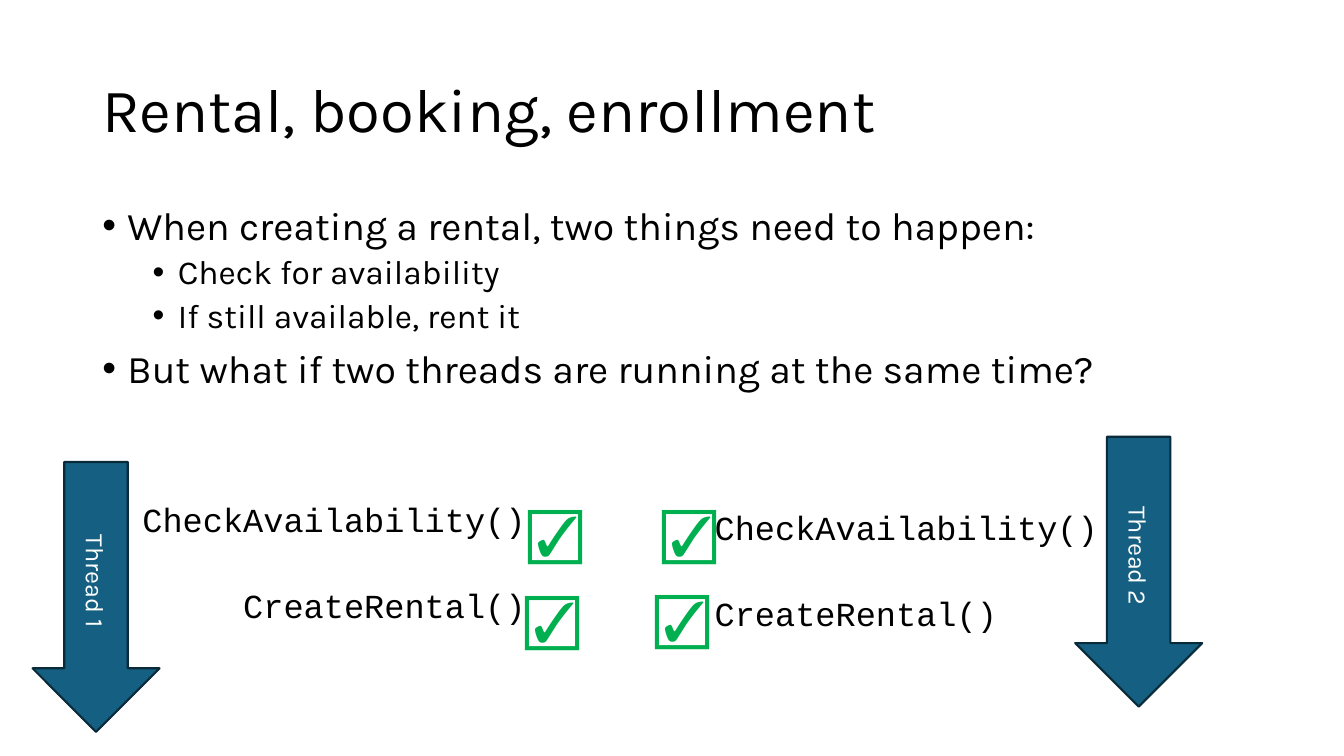
"""Build the slide about two threads renting the same thing."""
from dataclasses import dataclass
from typing import Any

from lxml import etree
from pptx import Presentation
from pptx.dml.color import RGBColor
from pptx.enum.shapes import MSO_SHAPE
from pptx.enum.text import MSO_ANCHOR, PP_ALIGN
from pptx.oxml.ns import qn
from pptx.util import Emu, Pt

PX = 9525
BLACK = RGBColor(0x00, 0x00, 0x00)
WHITE = RGBColor(0xFF, 0xFF, 0xFF)
BLUE = RGBColor(0x15, 0x60, 0x82)
NAVY = RGBColor(0x09, 0x2A, 0x39)
GREEN = RGBColor(0x00, 0xB0, 0x50)
LEFT, CENTER, RIGHT = PP_ALIGN.LEFT, PP_ALIGN.CENTER, PP_ALIGN.RIGHT
TOP, MIDDLE = MSO_ANCHOR.TOP, MSO_ANCHOR.MIDDLE
DOWN_ARROW = MSO_SHAPE.DOWN_ARROW
SANS, MONO = "Karla", "Courier New"


@dataclass(frozen=True)
class TextStyle:
    """Look of a paragraph."""
    size: int
    color: RGBColor = BLACK
    font: str = SANS
    align: PP_ALIGN = LEFT
    line_spacing: float = 1.0


@dataclass(frozen=True)
class Bullet:
    """A bulleted line with its level and the space above it in points."""
    text: str
    level: int
    space_before: int


@dataclass(frozen=True)
class Thread:
    """A thread arrow and the table of calls beside it."""
    name: str
    arrow_left: int
    arrow_top: int
    table_left: int
    table_top: int
    align: PP_ALIGN


TITLE_STYLE = TextStyle(44, line_spacing=0.9)
BULLET_STYLES = (TextStyle(28, line_spacing=0.9), TextStyle(24, line_spacing=0.9))
CHECK_STYLE = TextStyle(40, GREEN)
ARROW_STYLE = TextStyle(18, WHITE, align=CENTER)

BULLETS = (
    Bullet("When creating a rental, two things need to happen:", 0, 0),
    Bullet("Check for availability", 1, 5),
    Bullet("If still available, rent it", 1, 5),
    Bullet("But what if two threads are running at the same time?", 0, 10),
)
CALLS = ("CheckAvailability()", "CreateRental()")
ROW_HEIGHTS = (82, 52)
THREADS = (
    Thread("Thread 1", 31, 440, 95, 476, RIGHT),
    Thread("Thread 2", 1024, 416, 671, 483, LEFT),
)
CHECKS = ((493, 469), (621, 469), (490, 551), (614, 550))


def px(*lengths: int) -> list[Emu]:
    """Turn lengths in px into EMU."""
    return [Emu(length * PX) for length in lengths]


def set_format(target: Any, values: dict[str, Any]) -> None:
    """Set each named value on the target."""
    for name, value in values.items():
        setattr(target, name, value)


def write(paragraph: Any, text: str, style: TextStyle) -> None:
    """Put styled text in a paragraph."""
    set_format(paragraph, {"alignment": style.align, "line_spacing": style.line_spacing})
    run = paragraph.add_run()
    run.text = text
    set_format(run.font, {"name": style.font, "size": Pt(style.size)})
    run.font.color.rgb = style.color


def add_text_frame(slide: Any, box: tuple[int, int, int, int], anchor: MSO_ANCHOR) -> Any:
    """Add a wrapping text box and return its text frame."""
    frame = slide.shapes.add_textbox(*px(*box)).text_frame
    set_format(frame, {"word_wrap": True, "vertical_anchor": anchor})
    return frame


def add_bullets(slide: Any) -> None:
    """Add the two-level list."""
    frame = add_text_frame(slide, (88, 192, 1104, 457), TOP)
    for index, bullet in enumerate(BULLETS):
        paragraph = frame.add_paragraph() if index else frame.paragraphs[0]
        properties = paragraph._p.get_or_add_pPr()
        indent = 24 + 48 * bullet.level
        properties.set("marL", str(indent * PX))
        properties.set("indent", str(-24 * PX))
        etree.SubElement(properties, qn("a:buFont")).set("typeface", "Arial")
        etree.SubElement(properties, qn("a:buChar")).set("char", "•")
        set_format(paragraph, {"level": bullet.level, "space_before": Pt(bullet.space_before)})
        write(paragraph, bullet.text, BULLET_STYLES[bullet.level])


def add_calls(slide: Any, thread: Thread) -> None:
    """Add the table of calls that a thread makes."""
    box = px(thread.table_left, thread.table_top, 415, sum(ROW_HEIGHTS))
    table = slide.shapes.add_table(len(CALLS), 1, *box).table
    set_format(table, {"first_row": False, "horz_banding": False})
    style = TextStyle(24, font=MONO, align=thread.align)
    for row, height, call in zip(table.rows, px(*ROW_HEIGHTS), CALLS):
        row.height = height
        cell = row.cells[0]
        cell.fill.background()
        write(cell.text_frame.paragraphs[0], call, style)


def add_arrow(slide: Any, thread: Thread) -> None:
    """Add a thread's down arrow with its vertical name."""
    box = px(thread.arrow_left, thread.arrow_top, 121, 257)
    shape = slide.shapes.add_shape(DOWN_ARROW, *box)
    shape.shadow.inherit = False
    shape.fill.solid()
    shape.fill.fore_color.rgb = BLUE
    shape.line.color.rgb = NAVY
    shape.line.width = Pt(1.5)
    frame = shape.text_frame
    frame.vertical_anchor = MIDDLE
    frame._txBody.bodyPr.set("vert", "vert")
    write(frame.paragraphs[0], thread.name, ARROW_STYLE)


def main() -> None:
    """Build and save the slide."""
    presentation = Presentation()
    width, height = px(1280, 720)
    set_format(presentation, {"slide_width": width, "slide_height": height})
    slide = presentation.slides.add_slide(presentation.slide_layouts[6])
    title = add_text_frame(slide, (88, 38, 1104, 139), MIDDLE)
    write(title.paragraphs[0], "Rental, booking, enrollment", TITLE_STYLE)
    add_bullets(slide)
    for add_part in (add_calls, add_arrow):
        for thread in THREADS:
            add_part(slide, thread)
    for left, top in CHECKS:
        check = add_text_frame(slide, (left, top, 49, 74), TOP)
        write(check.paragraphs[0], "☑", CHECK_STYLE)
    presentation.save("out.pptx")


if __name__ == "__main__":
    main()
